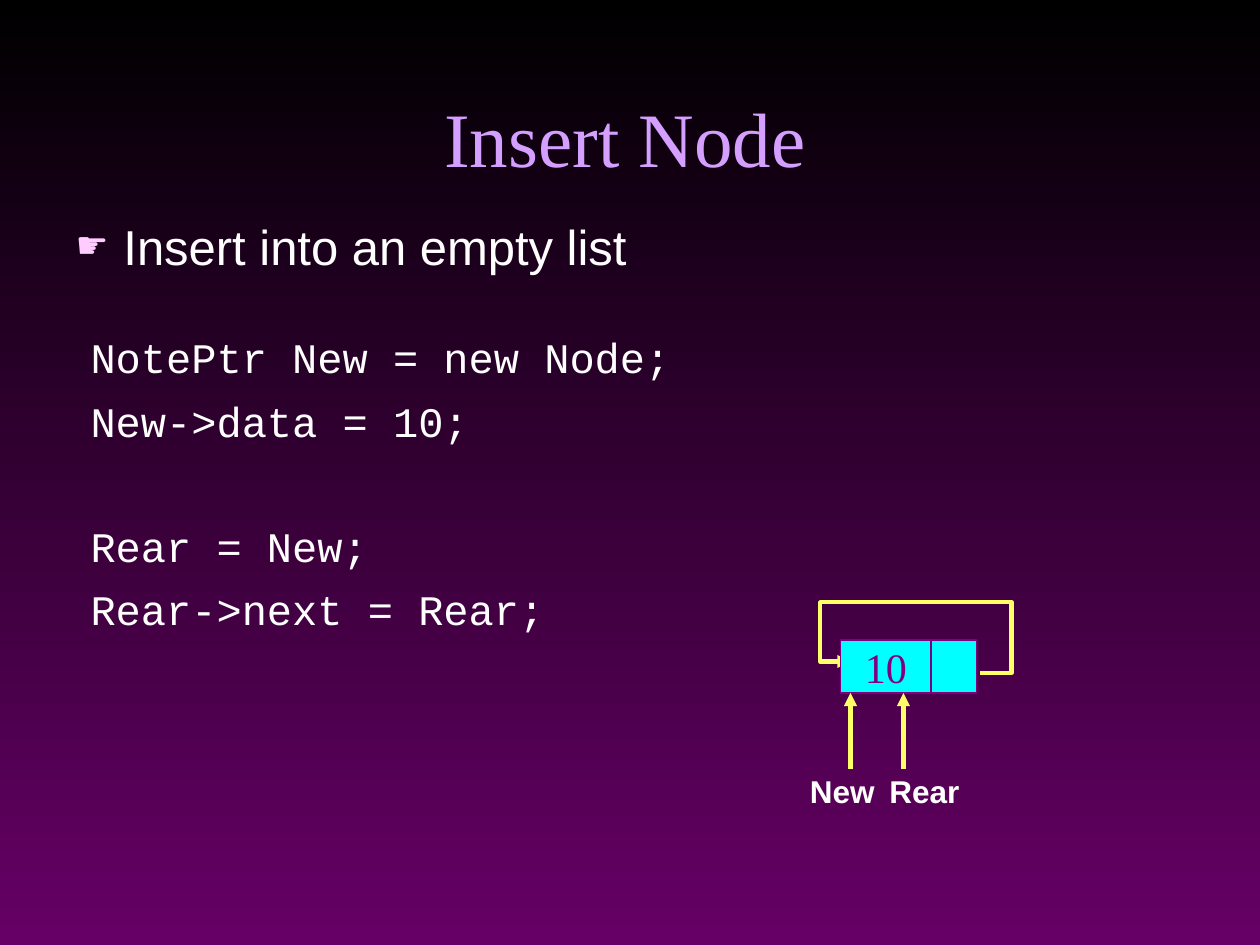
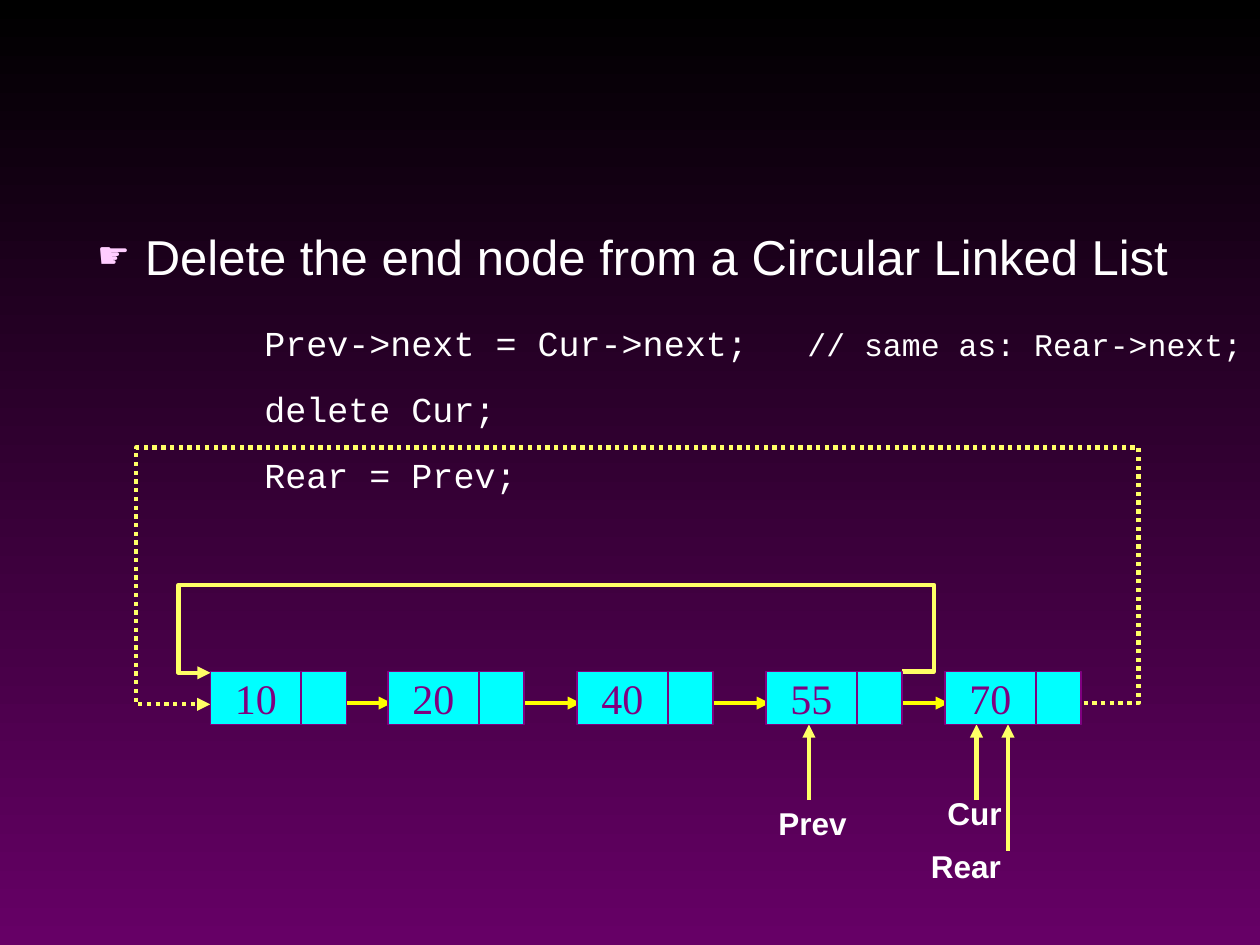
from lxml import etree
from pptx import Presentation
from pptx.dml.color import RGBColor
from pptx.enum.dml import MSO_LINE
from pptx.enum.shapes import MSO_CONNECTOR, MSO_SHAPE
from pptx.enum.text import MSO_ANCHOR, MSO_AUTO_SIZE, PP_ALIGN
from pptx.oxml.ns import qn
from pptx.util import Inches, Pt

RECT = MSO_SHAPE.RECTANGLE
LINE, ELBOW = MSO_CONNECTOR.STRAIGHT, MSO_CONNECTOR.ELBOW
DOTS = MSO_LINE.ROUND_DOT
TOP, MIDDLE, BOTTOM = MSO_ANCHOR.TOP, MSO_ANCHOR.MIDDLE, MSO_ANCHOR.BOTTOM
CENTER, LEFT = PP_ALIGN.CENTER, PP_ALIGN.LEFT
FIXED = MSO_AUTO_SIZE.NONE

COLORS = {
    "sky": "000000", "ground": "660066", "title": "D49FFF", "text": "FFFFFF",
    "bullet": "FFCCFF", "cell": "00FFFF", "edge": "800080",
    "pointer": "FFFF66", "link": "FFFF00",
}
FONTS = {
    "title": {"name": "Times New Roman", "size": Pt(44), "bold": False},
    "body": {"name": "Arial", "size": Pt(28), "bold": False},
    "label": {"name": "Arial", "size": Pt(18), "bold": True},
    "value": {"name": "Times New Roman", "size": Pt(24), "bold": False},
    "code": {"name": "Courier New", "size": Pt(24), "bold": False},
}
CELL_W, NEXT_W, NODE_H = 0.72, 0.36, 0.42
ARROW = 0.44


def color(name):
    return RGBColor.from_string(COLORS[name])


def add_xml(parent, tag, **attrs):
    return etree.SubElement(parent, qn(tag), attrs)


class Deck:
    def __init__(self):
        self.prs = Presentation()
        self.prs.slide_width, self.prs.slide_height = Inches(10), Inches(7.5)
        fill = self.prs.slide_master.background.fill
        fill.gradient()
        fill.gradient_angle = 270
        for stop, name, pos in zip(fill.gradient_stops, ("sky", "ground"), (0, 1)):
            stop.color.rgb, stop.position = color(name), pos
        self.slide = None

    def new(self):
        self.slide = self.prs.slides.add_slide(self.prs.slide_layouts[1])

    def put(self, par, text, font, tint="text", **extra):
        run = par.add_run()
        run.text = text
        for key, value in {**FONTS[font], **extra}.items():
            setattr(run.font, key, value)
        run.font.color.rgb = color(tint)

    def frame(self, shape, anchor=TOP, wrap=True):
        frame = shape.text_frame
        form = {"auto_size": FIXED, "word_wrap": wrap, "vertical_anchor": anchor}
        for key, value in form.items():
            setattr(frame, key, value)
        return frame

    def place(self, shape, box):
        for key, value in zip(("left", "top", "width", "height"), box):
            setattr(shape, key, Inches(value))

    def title(self, text, box):
        shape = self.slide.shapes.title
        self.place(shape, box)
        par = self.frame(shape, BOTTOM).paragraphs[0]
        par.alignment = CENTER
        self.put(par, text, "title", "title")

    def drop_title(self):
        item = self.slide.shapes.title.element
        item.getparent().remove(item)

    def body(self, text, box):
        shape = self.slide.placeholders[1]
        self.place(shape, box)
        par = self.frame(shape).paragraphs[0]
        par.space_before, par.alignment = Pt(7), LEFT
        self.put(par, text, "body")
        props = par._p.get_or_add_pPr()
        props.set("marL", str(Inches(0.38)))
        props.set("indent", str(-Inches(0.38)))
        tint = add_xml(props, "a:buClr")
        add_xml(tint, "a:srgbClr", val=COLORS["bullet"])
        add_xml(props, "a:buSzPct", val="75000")
        add_xml(props, "a:buChar", char="☛")

    def text(self, box, wrap=True):
        shape = self.slide.shapes.add_textbox(*map(Inches, box))
        return self.frame(shape, wrap=wrap)

    def label(self, text, left, top):
        par = self.text((left, top, 1.25, 0.4)).paragraphs[0]
        par.space_before = Pt(4.5)
        self.put(par, text, "label")

    def code(self, lines, box, size):
        """Each line is its text and the space above it in points."""
        frame = self.text(box, wrap=False)
        for i, (text, gap) in enumerate(lines):
            par = frame.add_paragraph() if i else frame.paragraphs[0]
            par.space_before = Pt(gap)
            self.put(par, text, "code", size=Pt(size))
        return frame

    def note(self, par, text, tab):
        tabs = add_xml(par._p.get_or_add_pPr(), "a:tabLst")
        add_xml(tabs, "a:tab", pos=str(Inches(tab)), algn="l")
        self.put(par, "\t" + text, "code", size=Pt(18))

    def cell(self, box, value=None):
        shape = self.slide.shapes.add_shape(RECT, *map(Inches, box))
        shape.shadow.inherit = False
        shape.fill.solid()
        shape.fill.fore_color.rgb = color("cell")
        shape.line.color.rgb, shape.line.width = color("edge"), Pt(1)
        if value is not None:
            par = self.frame(shape, MIDDLE, wrap=False).paragraphs[0]
            par.alignment = CENTER
            self.put(par, str(value), "value", "edge")

    def node(self, value, left, top):
        self.cell((left, top, CELL_W, NODE_H), value)
        self.cell((left + CELL_W, top, NEXT_W, NODE_H))

    def arrow(self, start, end, tint="pointer", kind=LINE, dash=None):
        line = self.slide.shapes.add_connector(kind, *map(Inches, start + end))
        line.line.color.rgb, line.line.width = color(tint), Pt(2.5)
        if dash:
            line.line.dash_style = dash
        props = line._element.spPr
        add_xml(props.get_or_add_ln(), "a:tailEnd", type="triangle")
        add_xml(props, "a:effectLst")
        return line

    def loop(self, start, end, right, top, left, dash=None):
        """Run from start out to right, over at top, and back in from left."""
        line = self.arrow(start, end, kind=ELBOW, dash=dash)
        geom = line._element.spPr.find(qn("a:prstGeom"))
        geom.set("prst", "bentConnector5")
        guides = geom.find(qn("a:avLst"))
        if guides is None:
            guides = add_xml(geom, "a:avLst")
        (x, y), (to_x, to_y) = start, end
        parts = ((right - x) / (to_x - x), (top - y) / (to_y - y),
                 (left - x) / (to_x - x))
        for i, part in enumerate(parts, 1):
            add_xml(guides, "a:gd", name=f"adj{i}", fmla=f"val {round(part * 100000)}")


def insert(deck):
    deck.new()
    deck.title("Insert Node", (0.67, 0.25, 8.58, 1.25))
    deck.body("Insert into an empty list", (0.5, 1.67, 8.58, 4.5))

    # Single node that points to itself
    deck.loop((7.78, 5.34), (6.75, 5.25), right=8.03, top=4.78, left=6.51)
    deck.node(10, 6.67, 5.08)
    for name, left, x in (("New", 6.33, 6.75), ("Rear", 6.96, 7.17)):
        deck.label(name, left, 6.08)
        deck.arrow((x, 6.1), (x, 5.5))

    # Code
    deck.code([("NotePtr New = new Node;", 6), ("New->data = 10;", 7.7),
               ("Rear = New;", 42.6), ("Rear->next = Rear;", 7.7)],
              (0.62, 2.58, 5.55, 2.44), 24)


def delete(deck):
    deck.new()
    deck.drop_title()
    deck.body("Delete the end node from a Circular Linked List",
              (0.67, 1.75, 9.17, 4.75))

    # Links between nodes, and the old and new way back to the front
    nodes = {10: 1.67, 20: 3.08, 40: 4.58, 55: 6.08, 70: 7.5}
    for left in list(nodes.values())[1:]:
        tip = left + 0.03
        deck.arrow((tip - ARROW, 5.58), (tip, 5.58), "link")
    deck.loop((8.6, 5.58), (1.67, 5.59), right=9.04, top=3.52, left=1.08, dash=DOTS)
    deck.loop((7.16, 5.33), (1.67, 5.34), right=7.41, top=4.63, left=1.42)

    # Code
    frame = deck.code([("Prev->next = Cur->next;", 5), ("delete Cur;", 13.9),
                       ("Rear = Prev;", 13.9)], (2, 2.5, 8, 1.45), 20)
    deck.note(frame.paragraphs[0], "// same as: Rear->next;", 4.31)

    # Pointers
    for name, left, top, x, foot in (("Prev", 6.08, 6.33, 6.42, 6.35),
                                     ("Cur", 7.42, 6.25, 7.75, 6.35),
                                     ("Rear", 7.29, 6.67, 8, 6.75)):
        deck.label(name, left, top)
        deck.arrow((x, foot), (x, 5.75))

    for value, left in nodes.items():
        deck.node(value, left, 5.33)


def main():
    deck = Deck()
    insert(deck)
    delete(deck)
    deck.prs.save("out.pptx")


if __name__ == "__main__":
    main()
